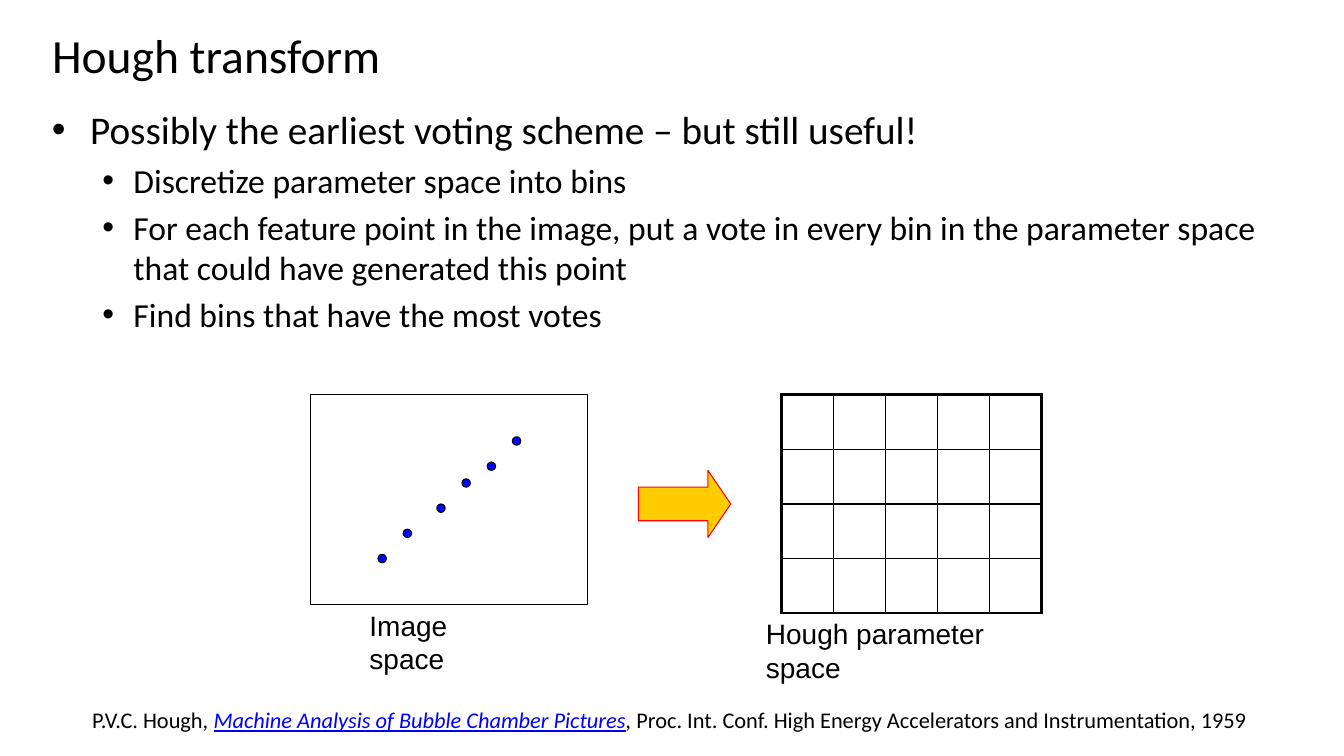
from lxml import etree
from pptx import Presentation
from pptx import util as u
from pptx.dml.color import RGBColor
from pptx.enum import shapes, text
from pptx.oxml import ns

COLUMNS, ROWS = 160, 90
UNIT = u.Inches(1) / 12  # one grid square
COLORS = {"ink": "000000", "point": "0000FF", "arrow": "FFCC00", "arrow_line": "FF0000"}


def grid(*lengths):
    """Turn grid counts into slide lengths."""
    return [u.Emu(round(length * UNIT)) for length in lengths]


def rgb(name):
    return RGBColor.from_string(COLORS[name])


def add_run(paragraph, content, size, font="Calibri", color="ink", italic=False, underline=False):
    run = paragraph.add_run()
    run.text = content
    run.font.size = u.Pt(size)
    run.font.name = font
    run.font.color.rgb = rgb(color)
    run.font.italic = italic
    run.font.underline = underline


def add_text_box(slide, box, anchor=text.MSO_ANCHOR.TOP):
    frame = slide.shapes.add_textbox(*grid(*box)).text_frame
    frame.word_wrap = True
    frame.vertical_anchor = anchor
    return frame


def add_shape(slide, kind, box, fill=None, line="ink"):
    shape = slide.shapes.add_shape(kind, *grid(*box))
    shape.shadow.inherit = False
    if fill:
        shape.fill.solid()
        shape.fill.fore_color.rgb = rgb(fill)
    else:
        shape.fill.background()
    shape.line.color.rgb = rgb(line)
    shape.line.width = u.Pt(0.75)
    return shape


def add_title(slide, box, content):
    title = slide.shapes.title
    title.left, title.top, title.width, title.height = grid(*box)
    title.text_frame.vertical_anchor = text.MSO_ANCHOR.MIDDLE
    paragraph = title.text_frame.paragraphs[0]
    paragraph.alignment = text.PP_ALIGN.LEFT
    add_run(paragraph, content, 34)


def add_bullets(slide, box, items):
    styles = {0: (28, 0.38, -0.38), 1: (24, 0.81, -0.31)}  # size, margin, indent
    frame = add_text_box(slide, box)
    for index, (level, content) in enumerate(items):
        paragraph = frame.add_paragraph() if index else frame.paragraphs[0]
        size, margin, indent = styles[level]
        paragraph.level = level
        properties = paragraph._p.get_or_add_pPr()
        properties.set("marL", str(u.Inches(margin)))
        properties.set("indent", str(u.Inches(indent)))
        etree.SubElement(properties, ns.qn("a:buFont"), typeface="Arial")
        etree.SubElement(properties, ns.qn("a:buChar"), char="•")
        if index:
            paragraph.space_before = u.Pt(size * 0.2)
        add_run(paragraph, content, size)


def add_caption(slide, left, bottom, width, content):
    frame = add_text_box(slide, (left, bottom - 0.2, width, 9))
    add_run(frame.paragraphs[0], content, 20, font="Arial")


def add_image_space(slide, box):
    left, top, width, height = box
    add_shape(slide, shapes.MSO_SHAPE.RECTANGLE, box)
    for across, down in [(8, 19), (11, 16), (15, 13), (18, 10), (21, 8), (24, 5)]:
        add_shape(slide, shapes.MSO_SHAPE.OVAL, (left + across, top + down, 1, 1), "point")
    add_caption(slide, left + 5.8, top + height, 20.5, "Image space")


def add_arrow(slide, box):
    arrow = add_shape(slide, shapes.MSO_SHAPE.RIGHT_ARROW, box, "arrow", "arrow_line")
    arrow.adjustments[1] = 0.34


def set_border(cell, side, width):
    line = etree.SubElement(cell._tc.get_or_add_tcPr(), ns.qn("a:ln" + side), w=str(u.Pt(width)))
    fill = etree.SubElement(line, ns.qn("a:solidFill"))
    etree.SubElement(fill, ns.qn("a:srgbClr"), val=COLORS["ink"])


def add_parameter_space(slide, box, columns=5, rows=4):
    left, top, width, height = box
    table = slide.shapes.add_table(rows, columns, *grid(*box)).table
    table.first_row = table.horz_banding = False
    for row in range(rows):
        for column in range(columns):
            cell = table.cell(row, column)
            outer = {"L": column == 0, "R": column == columns - 1,
                     "T": row == 0, "B": row == rows - 1}
            for side, is_outer in outer.items():
                set_border(cell, side, 2.25 if is_outer else 1)
            cell.fill.background()
    add_caption(slide, left - 3, top + height, 37, "Hough parameter space")


def add_citation(slide, box):
    frame = add_text_box(slide, box, text.MSO_ANCHOR.MIDDLE)
    paragraph = frame.paragraphs[0]
    paragraph.alignment = text.PP_ALIGN.CENTER
    add_run(paragraph, "P.V.C. Hough, ", 16)
    add_run(paragraph, "Machine Analysis of Bubble Chamber Pictures", 16,
            color="point", italic=True, underline=True)
    add_run(paragraph, ",", 16, italic=True)
    add_run(paragraph, " Proc. Int. Conf. High Energy Accelerators and Instrumentation, 1959 ", 16)


def main():
    presentation = Presentation()
    presentation.slide_width, presentation.slide_height = grid(COLUMNS, ROWS)
    slide = presentation.slides.add_slide(presentation.slide_layouts[5])

    # Title and explanation
    add_title(slide, (5, 1, 151, 11), "Hough transform")
    add_bullets(slide, (5, 12, 151, 30), [
        (0, "Possibly the earliest voting scheme – but still useful!"),
        (1, "Discretize parameter space into bins"),
        (1, "For each feature point in the image, put a vote in every bin in the "
            "parameter space that could have generated this point"),
        (1, "Find bins that have the most votes"),
    ])

    # Diagram: image points vote into parameter bins
    add_image_space(slide, (37, 47, 33, 25))
    add_arrow(slide, (76, 56, 11, 8))
    add_parameter_space(slide, (93, 47, 31, 26))

    # Reference
    add_citation(slide, (0, 83.5, COLUMNS, 4.4))
    presentation.save("out.pptx")


if __name__ == "__main__":
    main()
